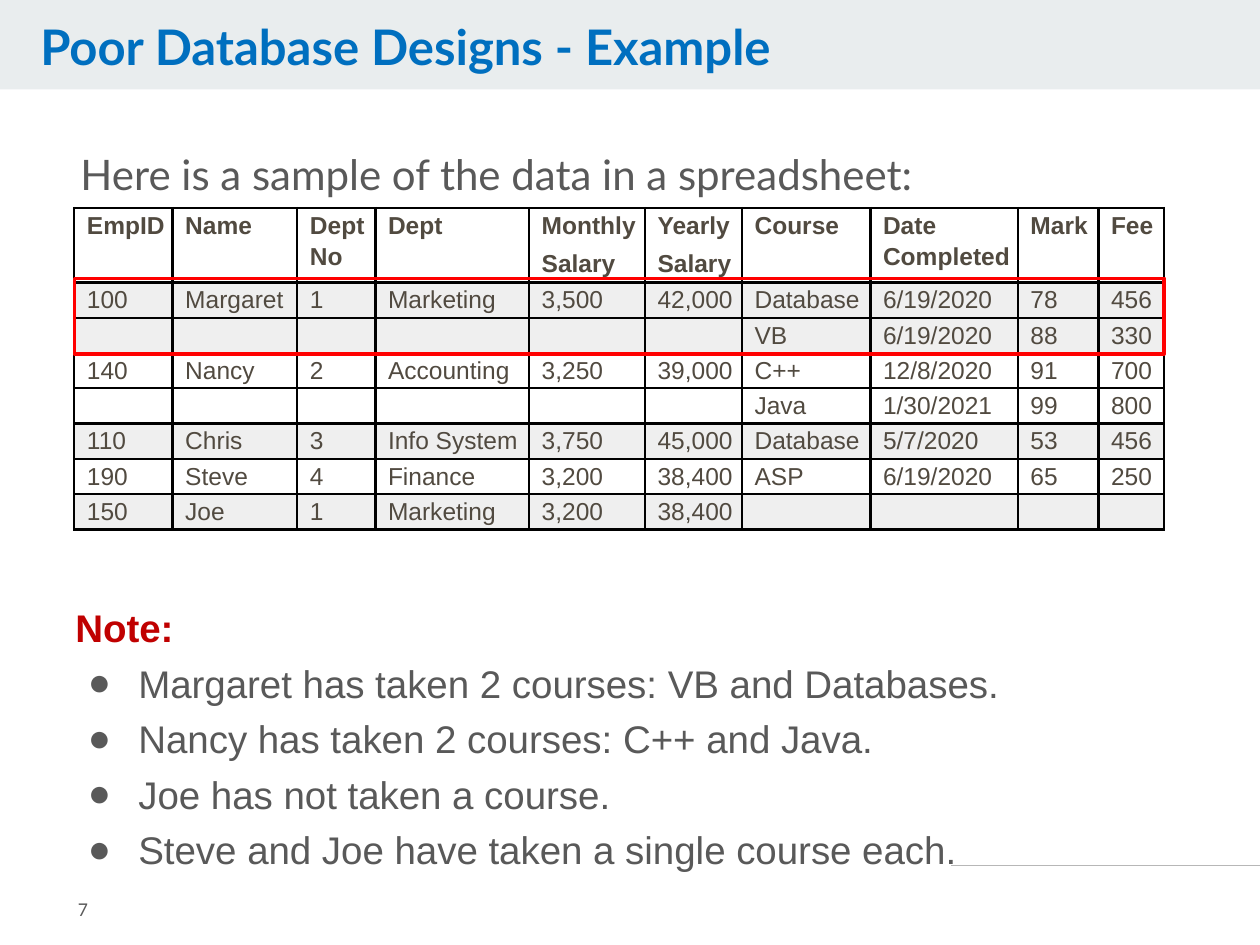
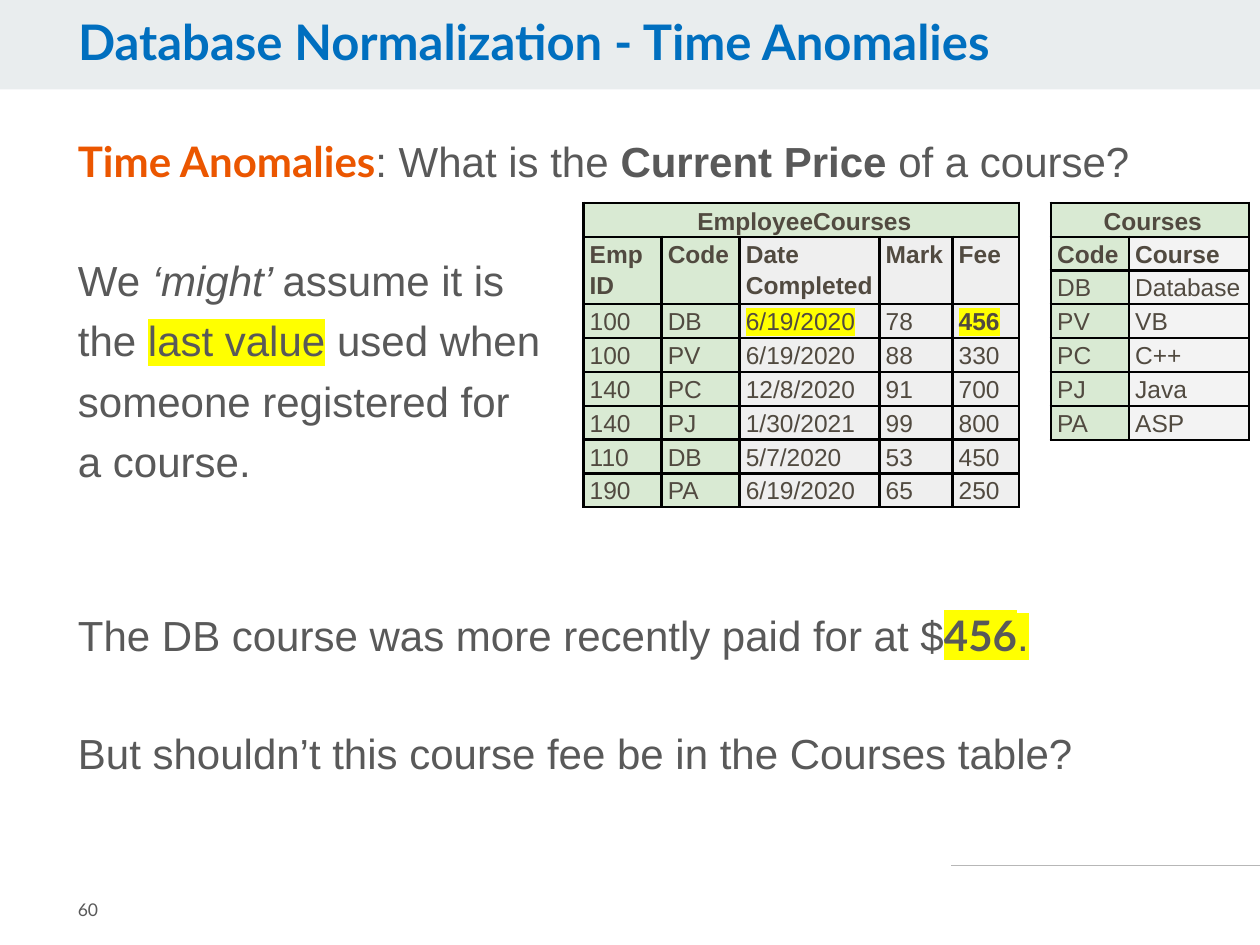
"""Build two slides on poor database design and time anomalies."""
from lxml.etree import SubElement
from pptx import Presentation
from pptx.dml.color import RGBColor
from pptx.enum.shapes import MSO_CONNECTOR, MSO_SHAPE
from pptx.enum.text import MSO_ANCHOR as ANCHOR, PP_ALIGN as ALIGN
from pptx.oxml.ns import qn
from pptx.util import Inches, Pt

BLUE = RGBColor(0x00, 0x6F, 0xBF)
BAND = RGBColor(0xE9, 0xED, 0xEE)
RULE = RGBColor(0xB7, 0xB7, 0xB7)
GREY = RGBColor(0x59, 0x59, 0x59)
BROWN = RGBColor(0x51, 0x4A, 0x40)
DARK_RED = RGBColor(0xC0, 0x00, 0x00)
RED = RGBColor(0xFF, 0x00, 0x00)
ORANGE = RGBColor(0xEB, 0x56, 0x00)
WHITE = RGBColor(0xFF, 0xFF, 0xFF)
SHADE = RGBColor(0xEF, 0xEF, 0xEF)
PALE = RGBColor(0xF3, 0xF3, 0xF3)
GREEN = RGBColor(0xD9, 0xEA, 0xD3)
BLACK = RGBColor(0x00, 0x00, 0x00)
YELLOW = RGBColor(0xFF, 0xFF, 0x00)

SHEET = [
    ("EmpID", "Name", "Dept No", "Dept", "Monthly\nSalary", "Yearly\nSalary",
     "Course", "Date Completed", "Mark", "Fee"),
    ("100", "Margaret", "1", "Marketing", "3,500", "42,000", "Database", "6/19/2020", "78", "456"),
    ("", "", "", "", "", "", "VB", "6/19/2020", "88", "330"),
    ("140", "Nancy", "2", "Accounting", "3,250", "39,000", "C++", "12/8/2020", "91", "700"),
    ("", "", "", "", "", "", "Java", "1/30/2021", "99", "800"),
    ("110", "Chris", "3", "Info System", "3,750", "45,000", "Database", "5/7/2020", "53", "456"),
    ("190", "Steve", "4", "Finance", "3,200", "38,400", "ASP", "6/19/2020", "65", "250"),
    ("150", "Joe", "1", "Marketing", "3,200", "38,400", "", "", "", ""),
]
SHEET_COLS = [0.78, 0.99, 0.62, 1.22, 0.92, 0.77, 1.02, 1.17, 0.64, 0.52]
SHADED_ROWS = {1, 2, 5, 7}

NOTES = [
    "Margaret has taken 2 courses: VB and Databases.",
    "Nancy has taken 2 courses: C++ and Java.",
    "Joe has not taken a course.",
    "Steve and Joe have taken a single course each.",
]

EMPLOYEE_COURSES = [
    ("EmployeeCourses", "", "", "", ""),
    ("Emp ID", "Code", "Date Completed", "Mark", "Fee"),
    ("100", "DB", "6/19/2020", "78", "456"),
    ("100", "PV", "6/19/2020", "88", "330"),
    ("140", "PC", "12/8/2020", "91", "700"),
    ("140", "PJ", "1/30/2021", "99", "800"),
    ("110", "DB", "5/7/2020", "53", "450"),
    ("190", "PA", "6/19/2020", "65", "250"),
]
EMPLOYEE_COLS = [0.62, 0.62, 1.11, 0.58, 0.53]
LATEST_PRICE = {(2, 2): {"mark": YELLOW}, (2, 4): {"mark": YELLOW, "bold": True}}

COURSES = [
    ("Courses", ""), ("Code", "Course"), ("DB", "Database"), ("PV", "VB"),
    ("PC", "C++"), ("PJ", "Java"), ("PA", "ASP"),
]
COURSE_COLS = [0.62, 0.95]

LINE_GAP = 1.4
ANOMALIES = [
    (0, [("Time Anomalies", {"font": "Lato", "color": ORANGE, "bold": True}),
         (": What is the ", {}), ("Current Price ", {"bold": True}), ("of a course?", {})]),
    (34.5, [("We ", {}), ("‘might’ ", {"italic": True}), ("assume it is", {})]),
    (LINE_GAP, [("the ", {}), ("last value", {"mark": YELLOW}), (" used when", {})]),
    (LINE_GAP, [("someone registered for", {})]),
    (LINE_GAP, [("a course.", {})]),
    (66.2, [("The DB course was more recently paid for at $", {}),
            ("456", {"font": "Lato", "bold": True, "mark": YELLOW}), (".", {"mark": YELLOW})]),
    (34.5, [("But shouldn’t this course fee be in the Courses table?", {})]),
]


def write(p, text, size=24, font="Arial", color=GREY, bold=False, italic=False,
          mark=None, spacing=1.15, before=0, align=None):
    """Add a formatted run to a paragraph and set the paragraph's spacing."""
    p.line_spacing, p.alignment = spacing, align
    if before:
        p.space_before = Pt(before)
    if not text:
        p._p.get_or_add_endParaRPr().set("sz", str(size * 100))
        return
    r = p.add_run()
    r.text = text
    f = r.font
    f.size, f.name, f.bold, f.italic = Pt(size), font, bold, italic
    f.color.rgb = color
    if mark is not None:
        highlight = SubElement(r._r.rPr, qn("a:highlight"))
        SubElement(highlight, qn("a:srgbClr")).set("val", str(mark))
        r._r.rPr.find(qn("a:solidFill")).addnext(highlight)


def next_paragraph(tf, i):
    """Return the first paragraph, or a new one after it."""
    return tf.add_paragraph() if i else tf.paragraphs[0]


def add_box(s, x, y, w, h, inset=0.05):
    """Add a wrapping text box and return its text frame."""
    tf = s.shapes.add_textbox(Inches(x), Inches(y), Inches(w), Inches(h)).text_frame
    tf.word_wrap = True
    tf.margin_top = tf.margin_bottom = Inches(inset)
    return tf


def add_bullet(p):
    """Give a paragraph a hanging round bullet."""
    pPr = p._p.get_or_add_pPr()
    pPr.set("marL", str(Inches(0.5)))
    pPr.set("indent", str(Inches(-0.4)))
    SubElement(SubElement(pPr, qn("a:buClr")), qn("a:srgbClr")).set("val", str(GREY))
    SubElement(pPr, qn("a:buFont")).set("typeface", "Arial")
    SubElement(pPr, qn("a:buChar")).set("char", "●")


def add_border(cell):
    """Draw a black line on all four sides of a cell."""
    tcPr = cell._tc.get_or_add_tcPr()
    for side in ("lnL", "lnR", "lnT", "lnB"):
        ln = SubElement(tcPr, qn("a:" + side), w=str(Pt(1.5)))
        fill = SubElement(ln, qn("a:solidFill"))
        SubElement(fill, qn("a:srgbClr")).set("val", str(BLACK))


def add_grid(s, x, y, cols, heights, rows, fill_of, inset, headers=1, styles=None):
    """Add a bordered table whose cell fills follow a rule."""
    table = s.shapes.add_table(len(rows), len(cols), Inches(x), Inches(y),
                               Inches(sum(cols)), Inches(sum(heights))).table
    table.first_row = table.horz_banding = False
    for col, w in zip(table.columns, cols):
        col.width = Inches(w)
    for row, h in zip(table.rows, heights):
        row.height = Inches(h)
    for i, values in enumerate(rows):
        for j, value in enumerate(values):
            cell = table.cell(i, j)
            cell.margin_left = Inches(inset)
            cell.margin_right = cell.margin_top = cell.margin_bottom = 0
            add_border(cell)
            cell.fill.solid()
            cell.fill.fore_color.rgb = fill_of(i, j)
            fmt = {"size": 14, "color": BROWN, "bold": i < headers}
            fmt.update((styles or {}).get((i, j), {}))
            for k, line in enumerate(value.split("\n")):
                write(next_paragraph(cell.text_frame, k), line, before=4 * k, **fmt)
    return table


def add_titled_grid(s, x, cols, rows, heights, body_fill, styles=None):
    """Add a table with a merged title row and green key columns."""
    def fill_of(i, j):
        return GREEN if i == 0 or x + sum(cols[:j]) < x + key_width else body_fill

    key_width = 1.24 if len(cols) > 2 else 0.62
    table = add_grid(s, x, 1.61, cols, heights, rows, fill_of, 0.05, 2, styles)
    table.cell(0, 0).merge(table.cell(0, len(cols) - 1))
    table.cell(0, 0).vertical_anchor = ANCHOR.MIDDLE
    table.cell(0, 0).text_frame.paragraphs[0].alignment = ALIGN.CENTER


def add_slide(prs, title, x, y, number):
    """Add a slide with its rule, title band, title and page number."""
    s = prs.slides.add_slide(prs.slide_layouts[5])
    rule = s.shapes.add_connector(MSO_CONNECTOR.STRAIGHT, Inches(7.55), Inches(6.87),
                                  Inches(10), Inches(6.87))
    rule.line.color.rgb, rule.line.width = RULE, Pt(0.75)
    SubElement(rule._element.spPr, qn("a:effectLst"))
    band = s.shapes.add_shape(MSO_SHAPE.RECTANGLE, 0, 0, Inches(10), Inches(0.71))
    band.shadow.inherit = False
    band.fill.solid()
    band.fill.fore_color.rgb = BAND
    band.line.fill.background()
    sp = s.shapes.title
    band._element.addnext(sp._element)
    sp.left, sp.top, sp.width, sp.height = map(Inches, (x, y, 7.88, 0.55))
    tf = sp.text_frame
    tf.vertical_anchor = ANCHOR.TOP
    write(tf.paragraphs[0], title, size=28, font="Lato", color=BLUE, bold=True,
          spacing=0.9, align=ALIGN.LEFT)
    tf = add_box(s, 0.52, 6.93, 1.23, 0.57, 0.1)
    tf.vertical_anchor = ANCHOR.MIDDLE
    write(tf.paragraphs[0], number, size=10, font="Lato", spacing=1)
    return s


def build_poor_design(prs):
    """Build the spreadsheet example."""
    s = add_slide(prs, "Poor Database Designs - Example", 0.22, 0.13, "7")
    tf = add_box(s, 0.5, 4.69, 8.76, 2.31)
    write(tf.paragraphs[0], "Note:", size=22, color=DARK_RED, bold=True)
    for note in NOTES:
        p = tf.add_paragraph()
        add_bullet(p)
        write(p, note, size=22, before=LINE_GAP)
    add_grid(s, 0.59, 1.65, SHEET_COLS, [0.55] + [0.28] * 7, SHEET,
             lambda i, j: SHADE if i in SHADED_ROWS else WHITE, 0.1)
    tf = add_box(s, 0.54, 0.88, 8.98, 0.57, 0.1)
    write(tf.paragraphs[0], "Here is a sample of the data in a spreadsheet:",
          font="Lato", spacing=1.5)
    frame = s.shapes.add_shape(MSO_SHAPE.RECTANGLE, Inches(0.59), Inches(2.21),
                               Inches(sum(SHEET_COLS)), Inches(0.6))
    frame.shadow.inherit = False
    frame.fill.background()
    frame.line.color.rgb, frame.line.width = RED, Pt(2)


def build_time_anomalies(prs):
    """Build the question of the current course price."""
    s = add_slide(prs, "Database Normalization - Time Anomalies", 0.52, 0.09, "60")
    tf = add_box(s, 0.52, 0.97, 9.11, 5.29)
    for i, (before, runs) in enumerate(ANOMALIES):
        p = next_paragraph(tf, i)
        for text, fmt in runs:
            write(p, text, before=before, **fmt)
    add_titled_grid(s, 4.63, EMPLOYEE_COLS, EMPLOYEE_COURSES,
                    [0.25, 0.5] + [0.25] * 6, SHADE, LATEST_PRICE)
    add_titled_grid(s, 8.34, COURSE_COLS, COURSES, [0.25] * 7, PALE)


def main():
    """Create and save the presentation."""
    prs = Presentation()
    prs.slide_width, prs.slide_height = Inches(10), Inches(7.5)
    build_poor_design(prs)
    build_time_anomalies(prs)
    prs.save("out.pptx")


if __name__ == "__main__":
    main()
